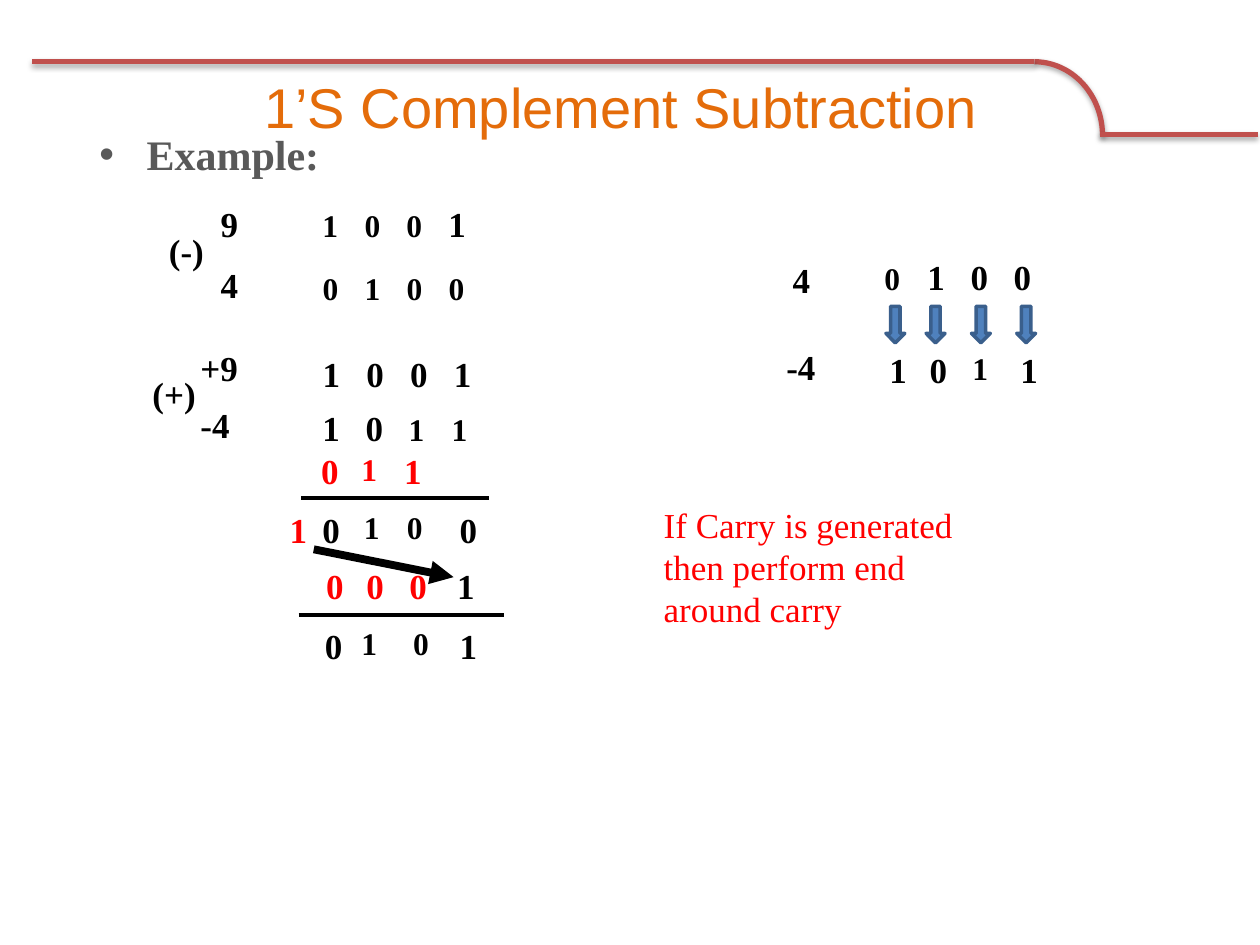
from lxml.etree import SubElement
from pptx import Presentation
from pptx.dml.color import RGBColor
from pptx.enum.shapes import MSO_CONNECTOR, MSO_SHAPE
from pptx.enum.text import MSO_ANCHOR, PP_ALIGN
from pptx.oxml import parse_xml
from pptx.oxml.ns import nsdecls, qn
from pptx.util import Pt

BLACK = RGBColor(0x00, 0x00, 0x00)
RED = RGBColor(0xFF, 0x00, 0x00)
ORANGE = RGBColor(0xE4, 0x6C, 0x0A)
GREY = RGBColor(0x59, 0x59, 0x59)
BRICK = RGBColor(0xC0, 0x50, 0x4D)
BLUE = RGBColor(0x4F, 0x81, 0xBD)
DARK_BLUE = RGBColor(0x3A, 0x5F, 0x8C)
SERIF = "Times New Roman"
INDENT = 43.2
SHADOW = (
    f'<a:effectLst {nsdecls("a")}><a:outerShdw blurRad="39370" dist="22860" dir="5400000" '
    'rotWithShape="0"><a:srgbClr val="000000"><a:alpha val="35000"/></a:srgbClr>'
    '</a:outerShdw></a:effectLst>'
)

presentation = Presentation()
presentation.slide_width = Pt(720)
presentation.slide_height = Pt(540)
slide = presentation.slides.add_slide(presentation.slide_layouts[6])


def add_text(text, left, top, width, height=31.7, size=20, color=BLACK,
             bold=True, font=SERIF, inset=7.2):
    box = slide.shapes.add_textbox(Pt(left), Pt(top), Pt(width), Pt(height))
    frame = box.text_frame
    frame.word_wrap = True
    frame.margin_left = Pt(inset)
    frame.text = text
    for run in frame.paragraphs[0].runs:
        run.font.size = Pt(size)
        run.font.name = font
        run.font.bold = bold
        run.font.color.rgb = color
    return frame


def add_line(x1, y1, x2, y2, color, width):
    line = slide.shapes.add_connector(MSO_CONNECTOR.STRAIGHT, Pt(x1), Pt(y1), Pt(x2), Pt(y2))
    line.line.color.rgb = color
    line.line.width = Pt(width)
    SubElement(line._element.spPr, qn("a:effectLst"))
    return line


arc = slide.shapes.add_shape(MSO_SHAPE.ARC, Pt(552.2), Pt(35.3), Pt(77.8), Pt(84.2))
arc.fill.background()
arc.line.color.rgb = BRICK
arc.line.width = Pt(3)
arc.shadow.inherit = False
right_rule = add_line(628.6, 77, 718.6, 77, BRICK, 3)
left_rule = add_line(591, 35.3, 18, 35.3, BRICK, 3)
for shape in (arc, right_rule, left_rule):
    properties = shape._element.spPr
    properties.replace(properties.find(qn("a:effectLst")), parse_xml(SHADOW))

title = add_text("1’S Complement Subtraction", 44.6, 36.7, 620.6, 47.5, 32, ORANGE, False, "Arial")
title.vertical_anchor = MSO_ANCHOR.MIDDLE
title.paragraphs[0].alignment = PP_ALIGN.CENTER

body = add_text("Example:", 49.7, 69.8, 620.6, 416.2, 24, GREY)
bullet_properties = body.paragraphs[0]._p.get_or_add_pPr()
bullet_properties.set("marL", str(Pt(27)))
bullet_properties.set("indent", str(-Pt(27)))
SubElement(bullet_properties, qn("a:buFont")).set("typeface", "Arial")
SubElement(bullet_properties, qn("a:buChar")).set("char", "•")

labels = [
    ("9", 82.8, 112.3, 61.2), ("4", 82.8, 146.9, 71.3), ("(-)", 53.3, 127.4, 71.3),
    ("+9", 71.3, 194.4, 72.7), ("-4", 71.3, 226.8, 82.8), ("(+)", 43.9, 209.5, 82.8),
    ("4", 409.7, 144, 71.3), ("-4", 406.1, 193.7, 82.8),
]
for text, left, top, width in labels:
    add_text(text, left, top, width, inset=INDENT)

operands = [
    ("1001", (18, 18, 18, 20), 141.1, 112.3, 136.8, 24),
    ("0100", (18, 18, 18, 18), 141.1, 148.3, 162, 24),
    ("1001", (20, 20, 20, 20), 141.1, 198, 151.9, 25),
    ("1011", (20, 20, 18, 18), 141.1, 229, 136.8, 24.6),
    ("0100", (18, 20, 20, 20), 462.2, 142.6, 167, 24.6),
]
for digits, sizes, left, top, width, step in operands:
    paragraph = add_text("\t".join(digits), left, top, width, inset=INDENT).paragraphs[0]
    paragraph.text = ""
    tabs = SubElement(paragraph._p.get_or_add_pPr(), qn("a:tabLst"))
    for index, (digit, size) in enumerate(zip(digits, sizes)):
        if index:
            stop = SubElement(tabs, qn("a:tab"))
            stop.set("pos", str(Pt(step * index)))
            stop.set("algn", "l")
        for text, text_size in [("\t", 20), (digit, size)][0 if index else 1:]:
            run = paragraph.add_run()
            run.text = text
            run.font.size = Pt(text_size)
            run.font.name = SERIF
            run.font.bold = True
            run.font.color.rgb = BLACK

for left in (506.2, 529.2, 555.1, 581):
    arrow = slide.shapes.add_shape(MSO_SHAPE.DOWN_ARROW, Pt(left), Pt(175), Pt(10.8), Pt(20.9))
    arrow.fill.solid()
    arrow.fill.fore_color.rgb = BLUE
    arrow.line.color.rgb = DARK_BLUE
    arrow.line.width = Pt(2)
    arrow.shadow.inherit = False

digit_rows = [
    (195.8, BLACK, [("1", 501.1, 20), ("0", 524.2, 20), ("1", 548.6, 18), ("1", 576, 20)]),
    (253.4, RED, [("0", 176.4, 20), ("1", 199.4, 18), ("1", 223.9, 20)]),
    (286.9, RED, [("1", 158.4, 20)]),
    (286.9, BLACK, [("0", 177.1, 20), ("1", 200.9, 18), ("0", 225.4, 18), ("0", 255.6, 20)]),
    (319, RED, [("0", 179.3, 20), ("0", 202.3, 20), ("0", 226.8, 20)]),
    (319, BLACK, [("1", 254.2, 20)]),
    (353.2, BLACK, [("0", 178.6, 20), ("1", 199.4, 18), ("0", 229, 18), ("1", 255.6, 20)]),
]
for top, color, digits in digit_rows:
    for digit, left, size in digits:
        add_text(digit, left, top, 23.8, size=size, color=color)

add_text("If Carry is generated then perform end around carry",
         372.2, 284.4, 184.3, 79.9, color=RED, bold=False)

add_line(172.1, 284.4, 279.4, 284.4, BLACK, 2.25)
add_line(170.6, 351.4, 288, 351.4, BLACK, 2.25)
carry_arrow = add_line(179.3, 313.9, 259.2, 329.8, BLACK, 4.5)
SubElement(carry_arrow.line._get_or_add_ln(), qn("a:tailEnd")).set("type", "triangle")

presentation.save("out.pptx")
